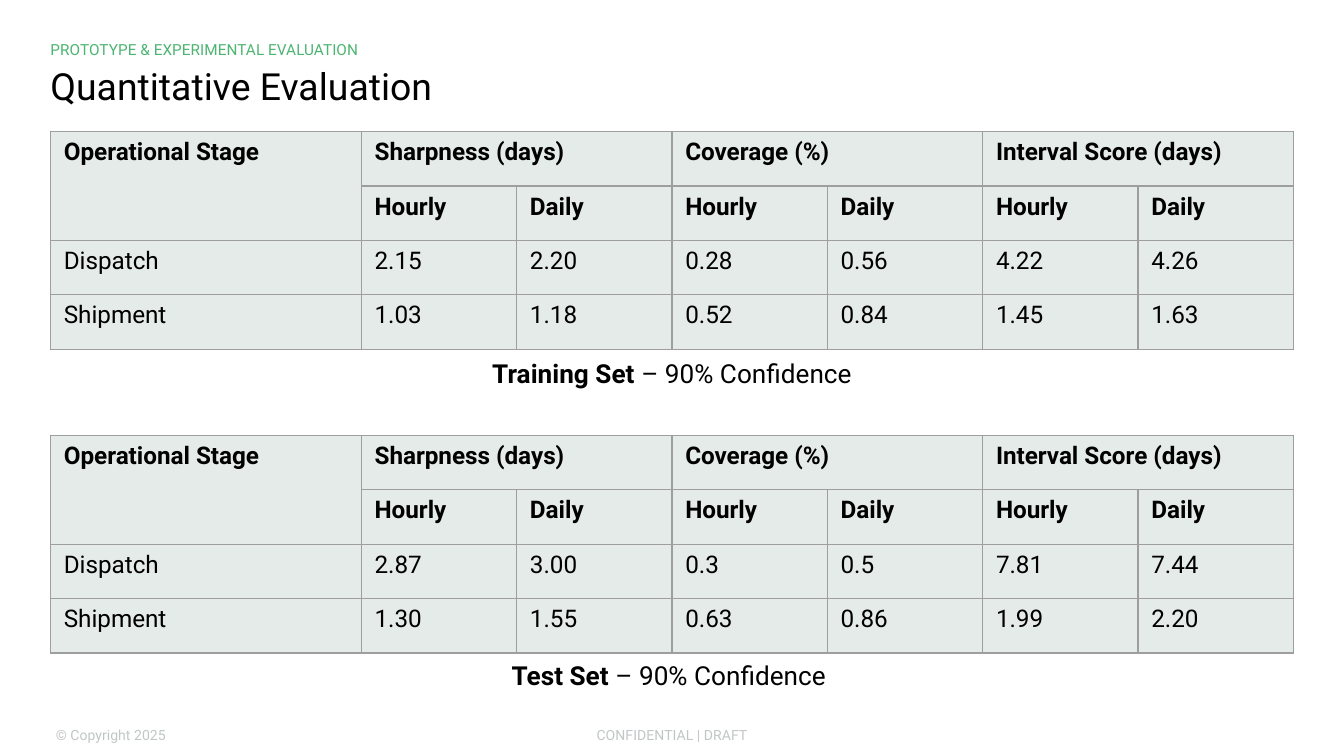
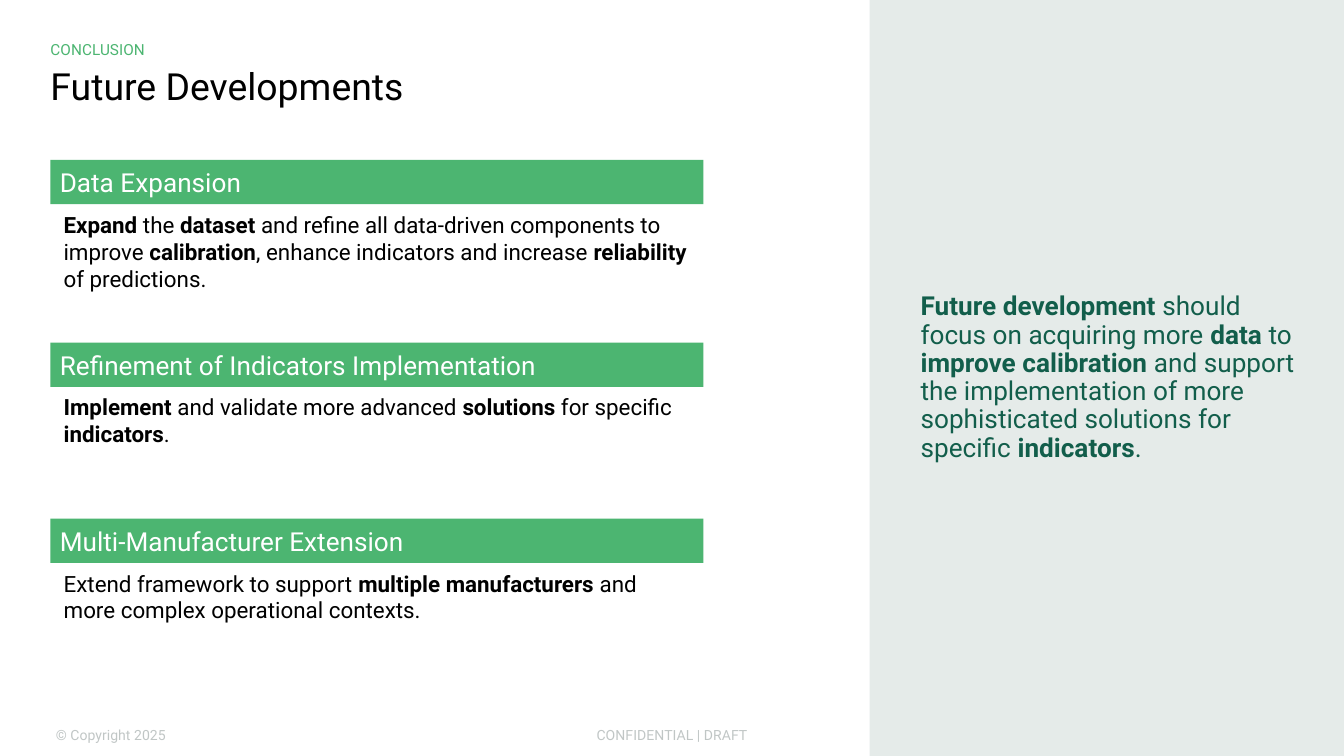
from dataclasses import dataclass

from lxml.etree import SubElement
from pptx import Presentation
from pptx.dml.color import RGBColor
from pptx.enum.shapes import MSO_SHAPE as Shape
from pptx.enum.text import MSO_ANCHOR as Anchor, MSO_AUTO_SIZE as AutoSize, PP_ALIGN as Align
from pptx.oxml.ns import qn
from pptx.util import Inches, Pt

# Shared look
FONT = "Roboto"
BLACK = RGBColor(0x00, 0x00, 0x00)
WHITE = RGBColor(0xFF, 0xFF, 0xFF)
GREEN = RGBColor(0x4C, 0xB5, 0x71)
DARK_GREEN = RGBColor(0x12, 0x5E, 0x4B)
PALE = RGBColor(0xE5, 0xEB, 0xE9)
FOOTER_GRAY = RGBColor(0x83, 0x8E, 0x8D)
BORDER_GRAY = RGBColor(0x9E, 0x9E, 0x9E)

# Widescreen page with equal side margins
PAGE_WIDTH = 10
PAGE_HEIGHT = PAGE_WIDTH * 9 / 16
CONTENT_WIDTH = 9.25
LEFT = (PAGE_WIDTH - CONTENT_WIDTH) / 2
BAR_WIDTH, BAR_HEIGHT = 4.86, 0.33
TABLE_HEIGHT = 1.62
PANEL_LEFT = 6.47
DEFAULT_INSETS = (0.1, 0.05, 0.1, 0.05)


@dataclass(frozen=True)
class Area:
    left: float
    top: float
    width: float
    height: float

    def lengths(self) -> tuple:
        return tuple(Inches(n) for n in (self.left, self.top, self.width, self.height))


@dataclass(frozen=True)
class ScoreTable:
    top: float
    caption_top: float
    caption: str
    rows: tuple


@dataclass(frozen=True)
class Topic:
    top: float
    heading: str
    body: str
    body_height: float
    body_width: float = BAR_WIDTH


MEASURES = ("Sharpness (days)", "Coverage (%)", "Interval Score (days)")
SCORE_TABLES = (
    ScoreTable(0.98, 2.61, "**Training Set **– 90% Confidence", (
        ("Dispatch", "2.15", "2.20", "0.28", "0.56", "4.22", "4.26"),
        ("Shipment", "1.03", "1.18", "0.52", "0.84", "1.45", "1.63"))),
    ScoreTable(3.24, 4.86, "**Test Set **– 90% Confidence ", (
        ("Dispatch", "2.87", "3.00", "0.3", "0.5", "7.81", "7.44"),
        ("Shipment", "1.30", "1.55", "0.63", "0.86", "1.99", "2.20"))),
)
TOPICS = (
    Topic(1.19, "Data Expansion",
          "**Expand** the **dataset** and refine all data-driven components to improve "
          "**calibration**, enhance indicators and increase **reliability** of predictions.", 0.71),
    Topic(2.55, "Refinement of Indicators Implementation",
          "**Implement** and validate more advanced **solutions** for specific "
          "**indicators**.", 0.5),
    Topic(3.86, "Multi-Manufacturer Extension",
          "Extend framework to support **multiple manufacturers** and more complex "
          "operational contexts.", 0.5, 4.69),
)
TAKEAWAY = ("**Future development** should focus on acquiring more **data** to "
            "**improve calibration** and support the implementation of more sophisticated "
            "solutions for specific **indicators**.")


# Text helpers
def write(frame, text: str, *, size: float, color: RGBColor = BLACK, align=Align.LEFT,
          line_spacing: float | None = None, opacity: int | None = None) -> None:
    """Fill the first paragraph; text between ** marks is bold."""
    para = frame.paragraphs[0]
    para.alignment = align
    if line_spacing:
        para.line_spacing = line_spacing
    for index, part in enumerate(text.split("**")):
        if not part:
            continue
        span = para.add_run()
        span.text = part
        font = span.font
        font.name, font.size, font.bold = FONT, Pt(size), index % 2 == 1
        font.color.rgb = color
        if opacity is not None:
            tint = span._r.rPr.find(".//" + qn("a:srgbClr"))
            SubElement(tint, qn("a:alpha"), val=str(opacity * 1000))


def prepare(frame, anchor, insets: tuple) -> None:
    frame.word_wrap = True
    frame.auto_size = AutoSize.NONE
    frame.vertical_anchor = anchor
    (frame.margin_left, frame.margin_top,
     frame.margin_right, frame.margin_bottom) = (Inches(n) for n in insets)


def add_text(page, area: Area, text: str, *, anchor=Anchor.TOP,
             insets: tuple = DEFAULT_INSETS, **text_format) -> None:
    box = page.shapes.add_textbox(*area.lengths())
    prepare(box.text_frame, anchor, insets)
    write(box.text_frame, text, **text_format)


def add_block(page, area: Area, text: str, *, fill: RGBColor, insets: tuple,
              **text_format) -> None:
    block = page.shapes.add_shape(Shape.RECTANGLE, *area.lengths())
    block.shadow.inherit = False
    block.fill.solid()
    block.fill.fore_color.rgb = fill
    block.line.fill.background()
    prepare(block.text_frame, Anchor.MIDDLE, insets)
    write(block.text_frame, text, **text_format)


# Page frame: footers, section label and title
def add_page(deck, section: str, title: str):
    page = deck.slides.add_slide(deck.slide_layouts[5])
    for area, text, align in (
            (Area(3.31, 5.36, 3.38, 0.21), "CONFIDENTIAL | DRAFT", Align.CENTER),
            (Area(LEFT, 5.36, 2.97, 0.21), "© Copyright 2025", Align.LEFT)):
        add_text(page, area, text, anchor=Anchor.MIDDLE, insets=(0.04,) * 4,
                 size=7.5, color=FOOTER_GRAY, align=align, opacity=50)

    heading = page.shapes.title
    heading.left, heading.top, heading.width, heading.height = Area(
        LEFT, 0.45, CONTENT_WIDTH, 0.41).lengths()
    prepare(heading.text_frame, Anchor.MIDDLE, (0, 0.04, 0, 0.04))
    write(heading.text_frame, title, size=20, line_spacing=0.9)

    add_text(page, Area(LEFT, 0.28, CONTENT_WIDTH, 0.17), section,
             anchor=Anchor.MIDDLE, insets=(0, 0, 0.07, 0), size=8.25, color=GREEN)
    return page


# Tables
def style_cell(cell) -> None:
    properties = cell._tc.get_or_add_tcPr()
    for side in ("lnL", "lnR", "lnT", "lnB"):
        line = SubElement(properties, qn(f"a:{side}"), w=str(Pt(0.75)))
        fill = SubElement(line, qn("a:solidFill"))
        SubElement(fill, qn("a:srgbClr"), val=str(BORDER_GRAY))
    cell.fill.solid()
    cell.fill.fore_color.rgb = PALE


def add_score_table(page, scores: ScoreTable) -> None:
    measure_row = ["**Operational Stage**"]
    unit_row = [""]
    for measure in MEASURES:
        measure_row += [f"**{measure}**", ""]
        unit_row += ["**Hourly**", "**Daily**"]
    rows = (measure_row, unit_row, *scores.rows)

    area = Area(LEFT, scores.top, CONTENT_WIDTH, TABLE_HEIGHT)
    table = page.shapes.add_table(len(rows), len(unit_row), *area.lengths()).table
    table.first_row = table.horz_banding = False
    # The stage column is as wide as one pair of value columns
    unit = CONTENT_WIDTH / (len(unit_row) + 1)
    for index, column in enumerate(table.columns):
        column.width = Inches(unit if index else 2 * unit)
    for row in table.rows:
        row.height = Inches(TABLE_HEIGHT / len(rows))

    for row_index, row in enumerate(rows):
        for column_index, text in enumerate(row):
            cell = table.cell(row_index, column_index)
            style_cell(cell)
            write(cell.text_frame, text, size=13)
    table.cell(0, 0).merge(table.cell(1, 0))
    for first in range(1, len(unit_row), 2):
        table.cell(0, first).merge(table.cell(0, first + 1))

    add_text(page, Area(LEFT, scores.caption_top, CONTENT_WIDTH, 0.34), scores.caption,
             size=14, align=Align.CENTER)


# Topics
def add_topic(page, topic: Topic) -> None:
    add_block(page, Area(LEFT, topic.top, BAR_WIDTH, BAR_HEIGHT), topic.heading,
              fill=GREEN, insets=(0.07, 0.04, 0.07, 0.04), size=14, color=WHITE)
    add_text(page, Area(LEFT, topic.top + BAR_HEIGHT, topic.body_width, topic.body_height),
             topic.body, size=12)


def main() -> None:
    deck = Presentation()
    deck.slide_width, deck.slide_height = Inches(PAGE_WIDTH), Inches(PAGE_HEIGHT)

    # Evaluation tables
    page = add_page(deck, "PROTOTYPE & EXPERIMENTAL EVALUATION", "Quantitative Evaluation")
    for scores in SCORE_TABLES:
        add_score_table(page, scores)

    # Future work with takeaway panel
    page = add_page(deck, "CONCLUSION", "Future Developments")
    for topic in TOPICS:
        add_topic(page, topic)
    add_block(page, Area(PANEL_LEFT, 0, PAGE_WIDTH - PANEL_LEFT, PAGE_HEIGHT), TAKEAWAY,
              fill=PALE, insets=(0.38, 0.07, 0.3, 0.07), size=14, color=DARK_GREEN,
              line_spacing=0.9)

    deck.save("out.pptx")


if __name__ == "__main__":
    main()
